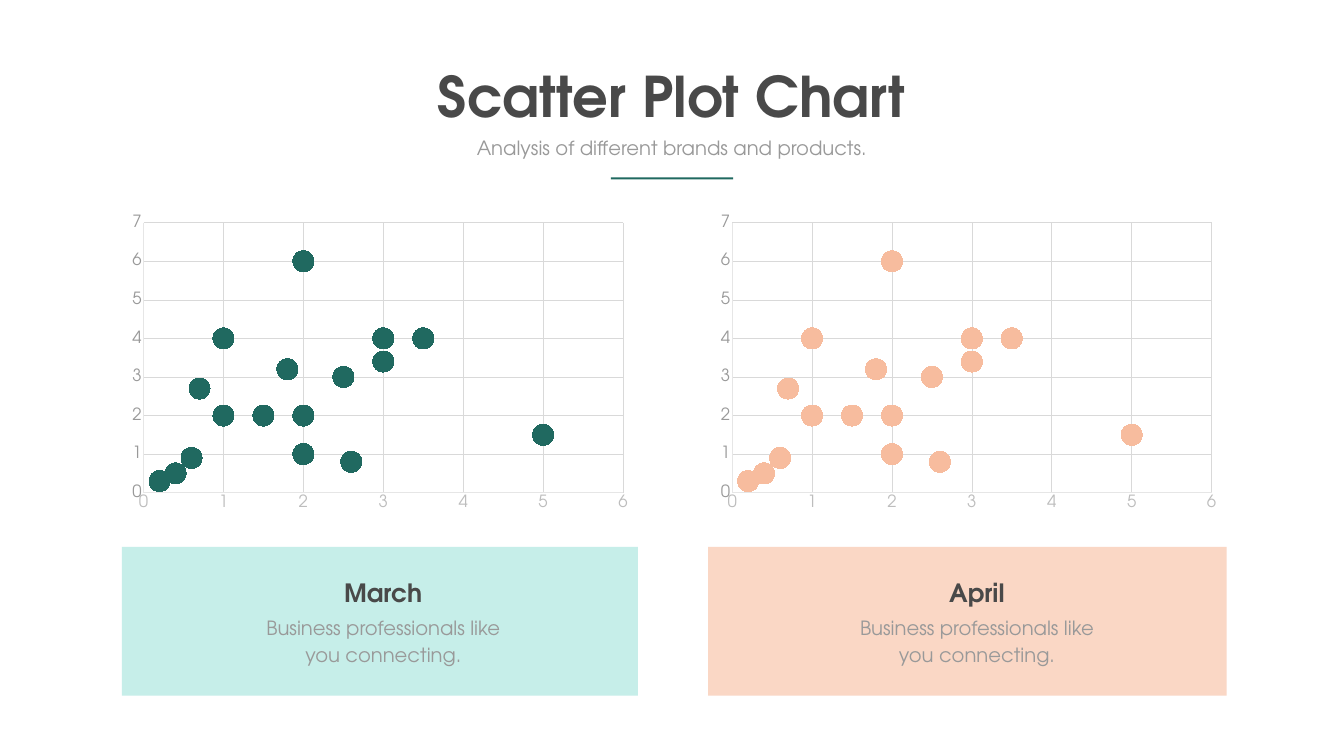
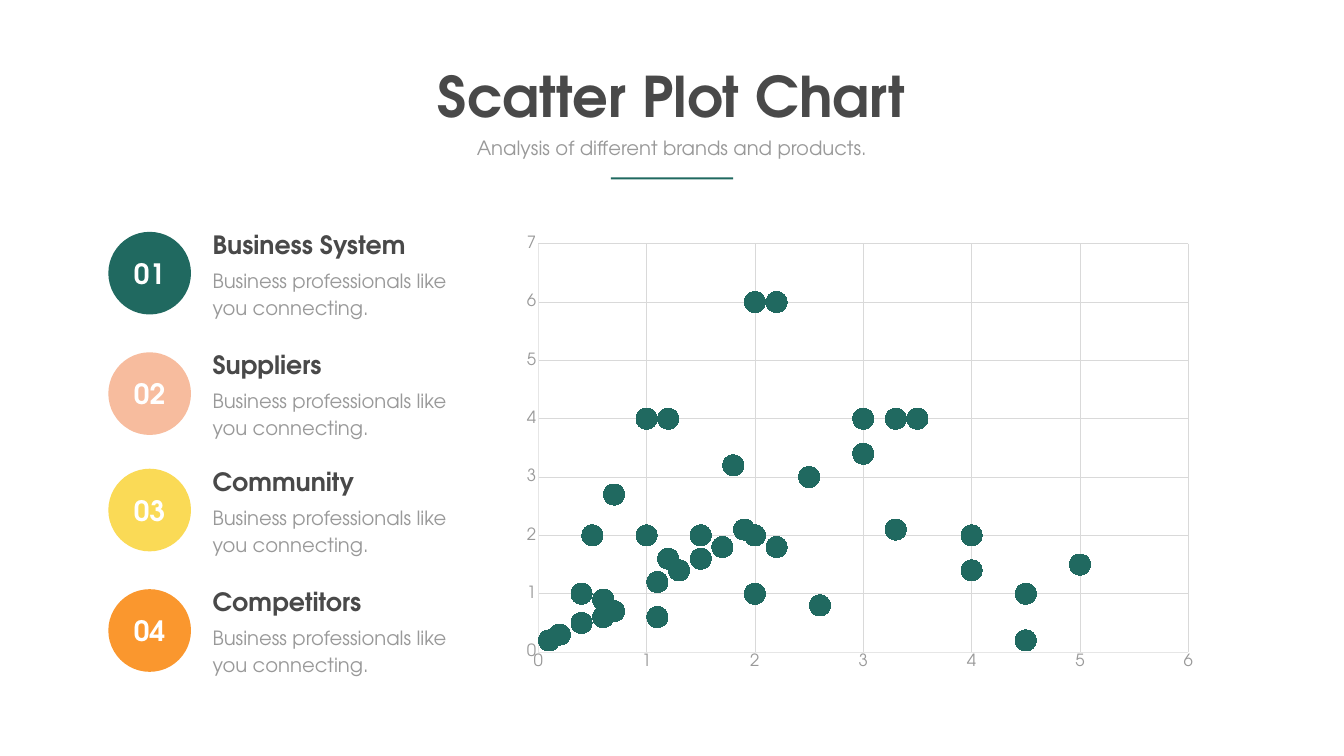
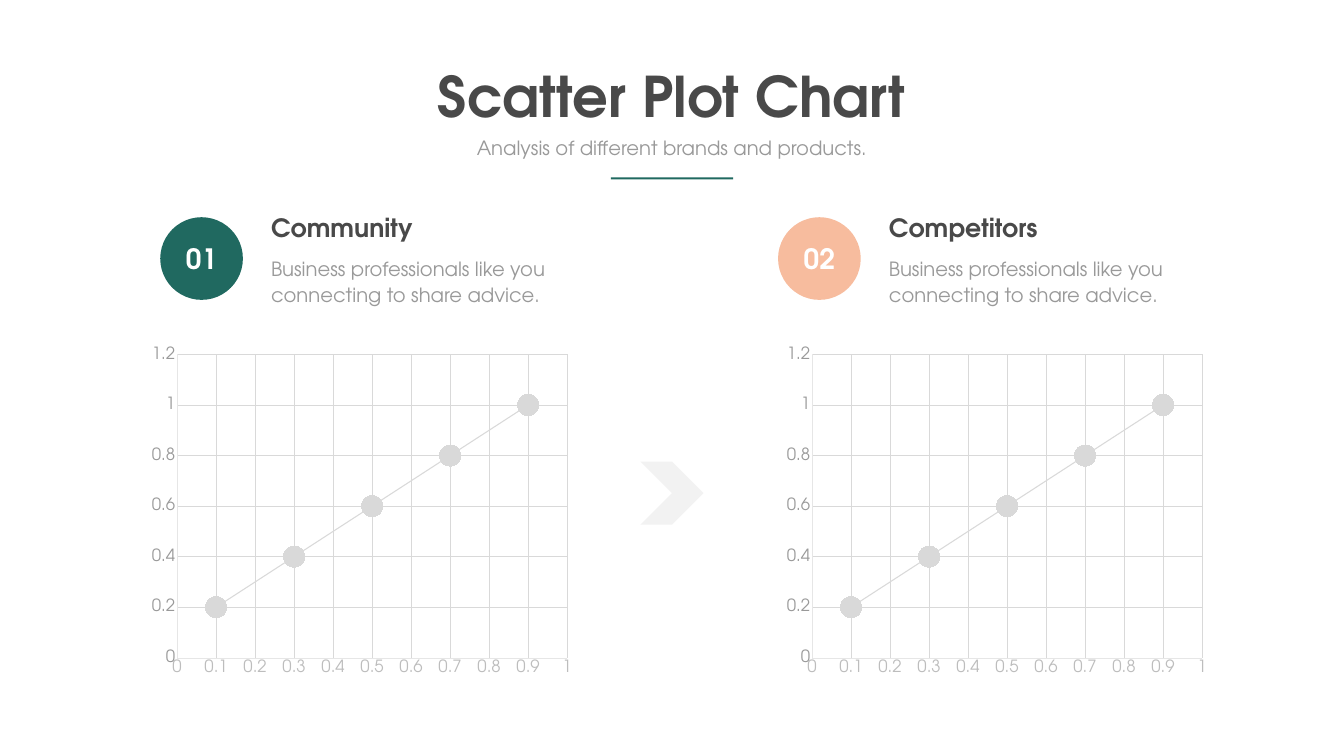
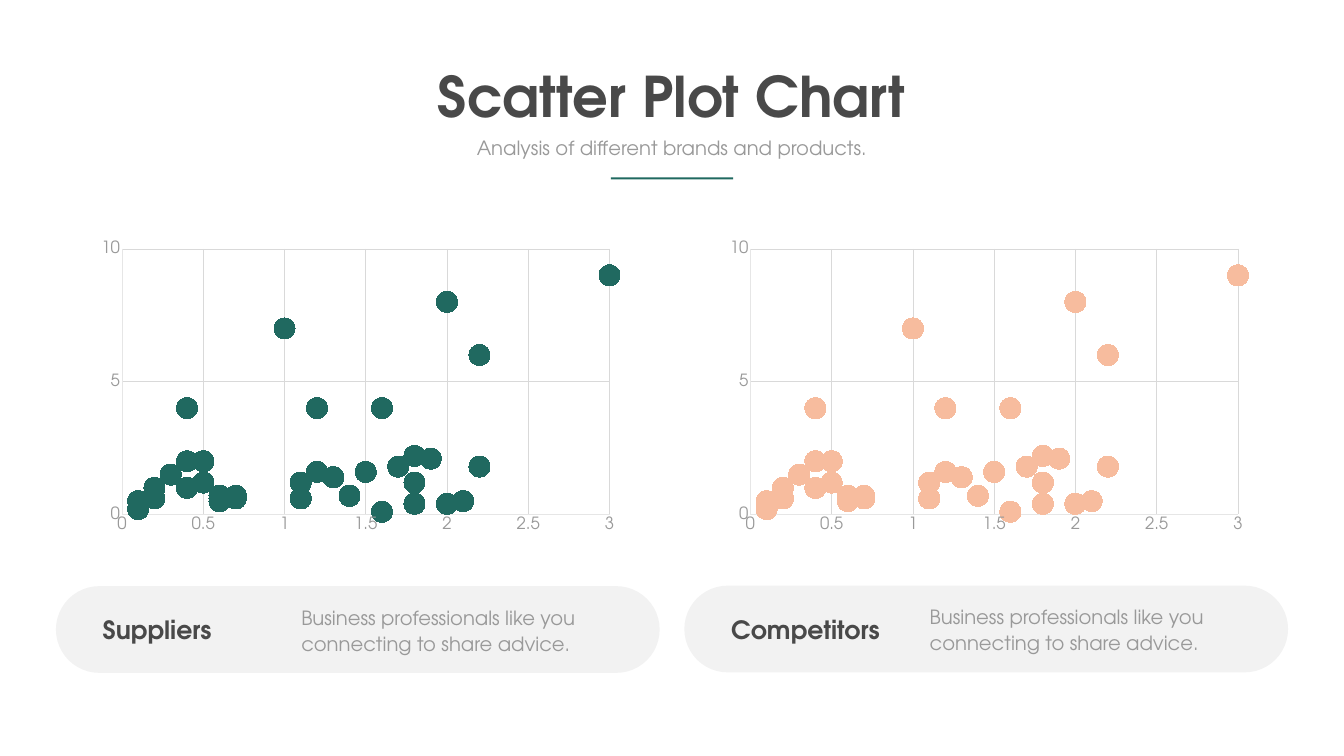
from lxml import etree
from pptx import Presentation
from pptx.chart.data import XyChartData
from pptx.dml.color import RGBColor
from pptx.enum import chart as charts, shapes as kinds, text as texts
from pptx.oxml import ns
from pptx.util import Inches, Pt

FONT = "TeX Gyre Adventor"
DARK = RGBColor(0x49, 0x49, 0x49)
GREY = RGBColor(0x99, 0x99, 0x99)
PALE_LABEL = RGBColor(0xBD, 0xBD, 0xBD)
AXIS = RGBColor(0xE6, 0xE6, 0xE6)
GRID = RGBColor(0xD9, 0xD9, 0xD9)
ARROW = RGBColor(0xF2, 0xF2, 0xF2)
PILL = RGBColor(0x80, 0x80, 0x80)
WHITE = RGBColor(0xFF, 0xFF, 0xFF)
GREEN = RGBColor(0x20, 0x69, 0x60)
PEACH = RGBColor(0xF7, 0xBC, 0x9E)
YELLOW = RGBColor(0xFA, 0xDA, 0x56)
ORANGE = RGBColor(0xFA, 0x97, 0x2E)
LIGHT_GREEN = RGBColor(0xC6, 0xEE, 0xE9)
LIGHT_PEACH = RGBColor(0xFA, 0xD7, 0xC5)

LEFT = texts.PP_ALIGN.LEFT
CENTER = texts.PP_ALIGN.CENTER
SHAPE = kinds.MSO_SHAPE
SCATTER = charts.XL_CHART_TYPE.XY_SCATTER
SCATTER_LINES = charts.XL_CHART_TYPE.XY_SCATTER_LINES

SHORT_NOTE = "Business professionals like you connecting."
LONG_NOTE = "Business professionals like you connecting to share advice."

MONTH_POINTS = [
    (0.7, 2.7), (1.8, 3.2), (2.6, 0.8), (3, 3.4), (5, 1.5), (2, 2),
    (1, 2), (3, 4), (2, 6), (1, 4), (2, 1), (2, 2),
    (0.2, 0.3), (0.4, 0.5), (0.6, 0.9), (1.5, 2), (2.5, 3), (3.5, 4),
]
SYSTEM_POINTS = MONTH_POINTS + [
    (4, 2), (1.2, 4), (2.2, 6), (3.3, 4), (4.5, 1), (1.1, 1.2), (1.3, 1.4),
    (1.5, 1.6), (1.7, 1.8), (1.9, 2.1), (0.1, 0.2), (0.4, 1), (0.5, 2),
    (0.6, 0.6), (0.7, 0.7), (4, 1.4), (1.2, 1.6), (2.2, 1.8), (3.3, 2.1),
    (4.5, 0.2), (1.1, 0.6),
]
TREND_POINTS = [(0.1, 0.2), (0.3, 0.4), (0.5, 0.6), (0.7, 0.8), (0.9, 1)]
SUPPLY_POINTS = [
    (3.5, 4), (4, 2), (1.2, 4), (2.2, 6), (3.3, 4), (4.5, 1), (1.1, 1.2),
    (1.3, 1.4), (1.5, 1.6), (1.7, 1.8), (1.9, 2.1), (0.1, 0.2), (0.4, 1),
    (0.5, 2), (0.6, 0.6), (0.7, 0.7), (4, 1.4), (1.2, 1.6), (2.2, 1.8),
    (3.3, 2.1), (4.5, 0.2), (1.1, 0.6), (2, 0.4), (0.6, 0.5), (0.7, 0.6),
    (1.4, 0.7), (1.6, 4), (1.8, 1.2), (1.8, 2.2), (1.6, 0.1), (1.8, 0.4),
    (2.1, 0.5), (0.2, 0.6), (0.6, 0.7), (0.4, 4), (0.5, 1.2), (0.1, 0.5),
    (0.2, 1), (0.3, 1.5), (0.4, 2), (1, 7), (2, 8), (3, 9), (4, 10),
    (5, 11), (6, 12),
]


def style_font(font, size, color, bold=False):
    font.name = FONT
    font.size = Pt(size)
    font.bold = bold
    font.color.rgb = color


def write(frame, words, size, color, bold=False, align=LEFT, spacing=None):
    paragraph = frame.paragraphs[0]
    paragraph.alignment = align
    if spacing:
        paragraph.line_spacing = Pt(spacing)
    run = paragraph.add_run()
    run.text = words
    style_font(run.font, size, color, bold)


def add_text(shapes, box, words, size, color, wrap=True, **style):
    frame = shapes.add_textbox(*map(Inches, box)).text_frame
    frame.word_wrap = wrap
    frame.auto_size = texts.MSO_AUTO_SIZE.SHAPE_TO_FIT_TEXT
    write(frame, words, size, color, **style)


def add_filled(shapes, kind, box, color):
    shape = shapes.add_shape(kind, *map(Inches, box))
    shape.shadow.inherit = False
    shape.fill.solid()
    shape.fill.fore_color.rgb = color
    shape.line.fill.background()
    return shape


def add_heading(shapes, left, top, words, width=4.89, align=LEFT):
    add_text(shapes, (left, top, width, 0.71), words, 36, DARK, bold=True, align=align)


def add_short_note(shapes, left, top, align=LEFT):
    add_text(shapes, (left, top, 4.89, 1.18), SHORT_NOTE, 28, GREY, align=align, spacing=38.6)


def add_long_note(shapes, left, top):
    add_text(shapes, (left, top, 6.16, 1.13), LONG_NOTE, 28, GREY, spacing=36.6)


def add_badge(shapes, left, top, number, color):
    badge = add_filled(shapes, SHAPE.OVAL, (left, top, 1.64, 1.64), color)
    badge.text_frame.vertical_anchor = texts.MSO_ANCHOR.MIDDLE
    write(badge.text_frame, f"{number:02}", 40, WHITE, bold=True, align=CENTER)


def style_axis(axis, label_color):
    axis.major_tick_mark = axis.minor_tick_mark = charts.XL_TICK_MARK.NONE
    axis.has_major_gridlines = True
    axis.has_minor_gridlines = False
    style_font(axis.tick_labels.font, 24, label_color)
    for line, color in ((axis.format.line, AXIS), (axis.major_gridlines.format.line, GRID)):
        line.color.rgb = color
        line.width = Pt(0.75)


def add_scatter(slide, box, points, color, x_label_color=GREY, kind=SCATTER):
    data = XyChartData()
    values = data.add_series("Series 1")
    for x, y in points:
        values.add_data_point(x, y)
    chart = slide.shapes.add_chart(kind, *map(Inches, box), data).chart
    chart.has_title = chart.has_legend = False
    style_font(chart.font, 24, GREY)
    style_axis(chart.category_axis, x_label_color)
    style_axis(chart.value_axis, GREY)
    plot = chart.plots[0]
    plot.vary_by_categories = False
    series = plot.series[0]
    if kind == SCATTER_LINES:
        series.format.line.color.rgb = GRID
        series.format.line.width = Pt(1.5)
    else:
        series.format.line.fill.background()
    marker = series.marker
    marker.style = charts.XL_MARKER_STYLE.CIRCLE
    marker.size = 30
    marker.format.fill.solid()
    marker.format.fill.fore_color.rgb = color
    marker.format.line.fill.background()
    return chart


def add_titled_slide(presentation):
    slide = presentation.slides.add_slide(presentation.slide_layouts[6])
    add_text(slide.shapes, (8.55, 1.17, 9.56, 1.45), "Scatter Plot Chart", 80, DARK,
             wrap=False, bold=True, align=CENTER)
    add_text(slide.shapes, (8.55, 2.65, 9.56, 0.57),
             "Analysis of different brands and products.", 28, GREY, align=CENTER)
    add_filled(slide.shapes, SHAPE.RECTANGLE, (12.12, 3.52, 2.43, 0.04), GREEN)
    return slide


def add_month(slide, chart_left, panel, month, text_left, color, panel_color):
    left, top, width, height = panel
    add_filled(slide.shapes, SHAPE.RECTANGLE, panel, panel_color)
    add_scatter(slide, (chart_left, top - 6.71, 10.24, 6.11), MONTH_POINTS, color, PALE_LABEL)
    add_short_note(slide.shapes, text_left, top + 1.26, CENTER)
    add_heading(slide.shapes, text_left, top + 0.56, month, align=CENTER)


def build_months(presentation):
    slide = add_titled_slide(presentation)
    add_month(slide, 2.42, (2.42, 10.85, 10.24, 2.95), "March", 5.16, GREEN, LIGHT_GREEN)
    add_month(slide, 14.1, (14.05, 10.85, 10.29, 2.95), "April", 16.94, PEACH, LIGHT_PEACH)


def add_topic(slide, left, top, number, name, color):
    add_badge(slide.shapes, left, top + 0.1, number, color)
    add_short_note(slide.shapes, left + 1.97, top + 0.71)
    add_heading(slide.shapes, left + 1.97, top, name)


def build_topics(presentation):
    slide = add_titled_slide(presentation)
    add_scatter(slide, (10.18, 4.5, 13.77, 8.97), SYSTEM_POINTS, GREEN)
    topics = [
        (4.5, "Business System", GREEN),
        (6.89, "Suppliers", PEACH),
        (9.2, "Community", YELLOW),
        (11.59, "Competitors", ORANGE),
    ]
    for number, (top, name, color) in enumerate(topics, 1):
        add_topic(slide, 2.15, top, number, name, color)


def add_trend(slide, group, chart_left, badge_left, number, name, color):
    add_scatter(slide, (chart_left, 6.74, 8.68, 6.8), TREND_POINTS, color,
                PALE_LABEL, SCATTER_LINES)
    add_long_note(group.shapes, badge_left + 2.1, 5.01)
    add_heading(group.shapes, badge_left + 2.1, 4.17, name)
    add_badge(group.shapes, badge_left, 4.31, number, color)


def build_trends(presentation):
    slide = add_titled_slide(presentation)
    add_filled(slide.shapes, SHAPE.CHEVRON, (12.71, 9.16, 1.25, 1.25), ARROW)
    group = slide.shapes.add_group_shape()
    add_trend(slide, group, 2.84, 3.18, 1, "Community", GREEN)
    add_trend(slide, group, 15.44, 15.44, 2, "Competitors", PEACH)


def add_pill_chart(slide, left, top, name, color):
    chart = add_scatter(slide, (left + 0.69, 4.66, 10.6, 6.02), SUPPLY_POINTS, color)
    chart.category_axis.maximum_scale = 3
    chart.value_axis.maximum_scale = 10
    chart.value_axis.major_unit = 5
    pill = add_filled(slide.shapes, SHAPE.ROUNDED_RECTANGLE, (left, top, 11.98, 1.72), PILL)
    pill.adjustments[0] = 0.5
    tint = pill.fill._xPr.find(".//" + ns.qn("a:srgbClr"))
    etree.SubElement(tint, ns.qn("a:alpha"), val="10000")
    group = slide.shapes.add_group_shape()
    add_long_note(group.shapes, left + 4.77, top + 0.3)
    add_heading(group.shapes, left + 0.83, top + 0.51, name, width=3.94)


def build_pills(presentation):
    slide = add_titled_slide(presentation)
    add_pill_chart(slide, 1.11, 11.63, "Suppliers", GREEN)
    add_pill_chart(slide, 13.58, 11.62, "Competitors", PEACH)


def main():
    presentation = Presentation()
    presentation.slide_width = Inches(26.67)
    presentation.slide_height = Inches(15)
    for build in (build_months, build_topics, build_trends, build_pills):
        build(presentation)
    presentation.save("out.pptx")


if __name__ == "__main__":
    main()
